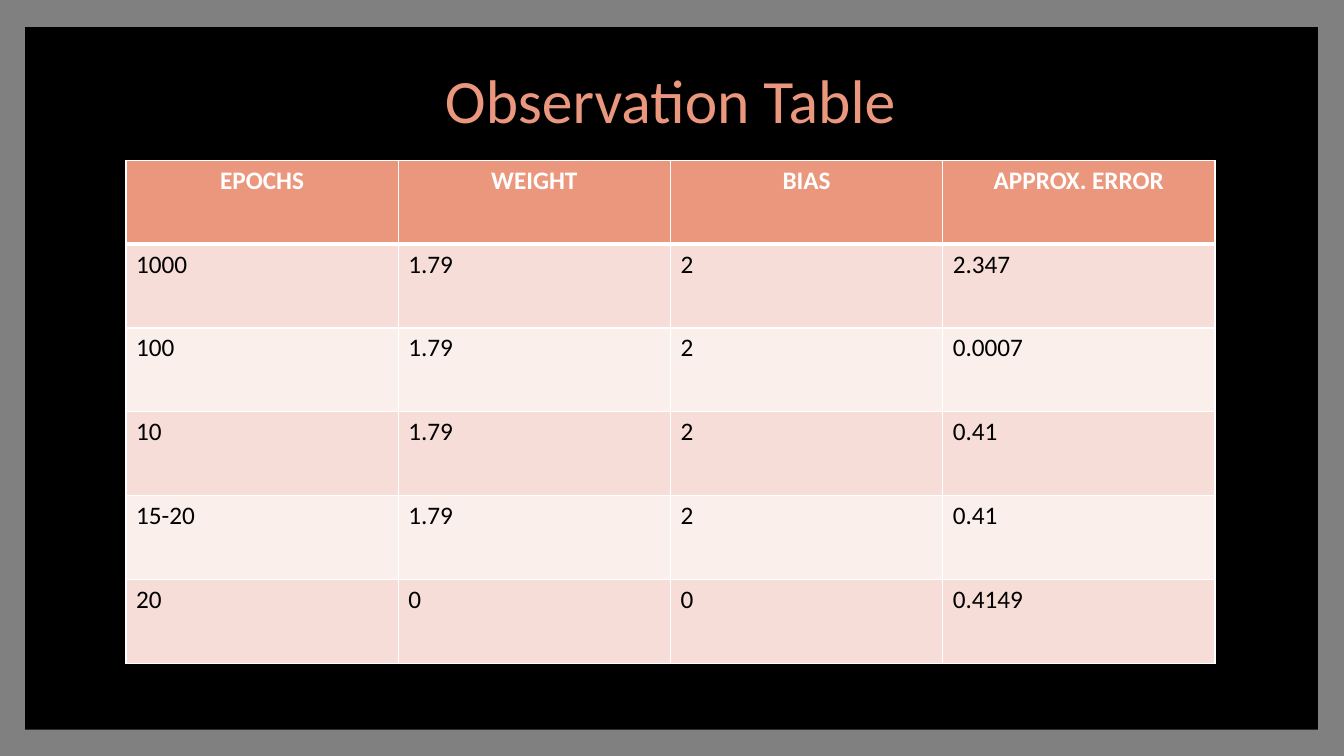
from dataclasses import dataclass

from lxml.etree import SubElement
from pptx import Presentation
from pptx.dml.color import RGBColor
from pptx.enum.shapes import MSO_SHAPE
from pptx.enum.text import MSO_ANCHOR, PP_ALIGN
from pptx.oxml.ns import qn
from pptx.util import Inches, Pt


@dataclass(frozen=True)
class Theme:
    """Colours, font and type sizes of the slide."""
    backdrop: str = "808080"
    panel: str = "000000"
    accent: str = "EB977D"
    bands: tuple = ("F7DDD7", "FBEFEC")
    light: str = "FFFFFF"
    dark: str = "000000"
    font: str = "Calibri"
    title_size: int = 44
    table_size: int = 18


theme = Theme()


def write_text(frame, text, *, size, color, bold=False, align=PP_ALIGN.LEFT, spacing=1.0):
    """Put one formatted paragraph into a text frame."""
    paragraph = frame.paragraphs[0]
    paragraph.alignment = align
    paragraph.line_spacing = spacing
    run = paragraph.add_run()
    run.text = text
    run.font.name = theme.font
    run.font.size = Pt(size)
    run.font.bold = bold
    run.font.color.rgb = RGBColor.from_string(color)


def draw_borders(cell, color, **widths):
    """Draw cell borders; widths in points are keyed L, R, T, B in that order."""
    properties = cell._tc.get_or_add_tcPr()
    for side, width in widths.items():
        line = SubElement(properties, qn(f"a:ln{side}"), w=str(Pt(width)))
        SubElement(SubElement(line, qn("a:solidFill")), qn("a:srgbClr"), val=color)


presentation = Presentation()
presentation.slide_width = Inches(13.33)
presentation.slide_height = Inches(7.5)
slide = presentation.slides.add_slide(presentation.slide_layouts[6])
slide.background.fill.solid()
slide.background.fill.fore_color.rgb = RGBColor.from_string(theme.backdrop)

panel = slide.shapes.add_shape(
    MSO_SHAPE.RECTANGLE, Inches(0.25), Inches(0.27), Inches(12.82), Inches(6.97))
panel.shadow.inherit = False
panel.fill.solid()
panel.fill.fore_color.rgb = RGBColor.from_string(theme.panel)
panel.line.fill.background()

title = slide.shapes.add_textbox(Inches(1.25), Inches(0.46), Inches(10.8), Inches(1.13))
title.text_frame.word_wrap = True
title.text_frame.vertical_anchor = MSO_ANCHOR.MIDDLE
write_text(title.text_frame, "Observation Table", size=theme.title_size,
           color=theme.accent, align=PP_ALIGN.CENTER, spacing=0.9)

observations = [
    ("EPOCHS", "WEIGHT", "BIAS", "APPROX. ERROR"),
    ("1000", "1.79", "2", "2.347"),
    ("100", "1.79", "2", "0.0007"),
    ("10", "1.79", "2", "0.41"),
    ("15-20", "1.79", "2", "0.41"),
    ("20", "0", "0", "0.4149"),
]
table = slide.shapes.add_table(
    len(observations), len(observations[0]),
    Inches(1.25), Inches(1.59), Inches(10.8), Inches(4.99)).table

for row, observation in enumerate(observations):
    is_header = row == 0
    fill = theme.accent if is_header else theme.bands[(row - 1) % 2]
    for column, value in enumerate(observation):
        cell = table.cell(row, column)
        draw_borders(cell, theme.light, L=1, R=1,
                     T=3 if row == 1 else 1, B=3 if is_header else 1)
        cell.fill.solid()
        cell.fill.fore_color.rgb = RGBColor.from_string(fill)
        write_text(cell.text_frame, value, size=theme.table_size, bold=is_header,
                   color=theme.light if is_header else theme.dark,
                   align=PP_ALIGN.CENTER if is_header else PP_ALIGN.LEFT)

presentation.save("out.pptx")
